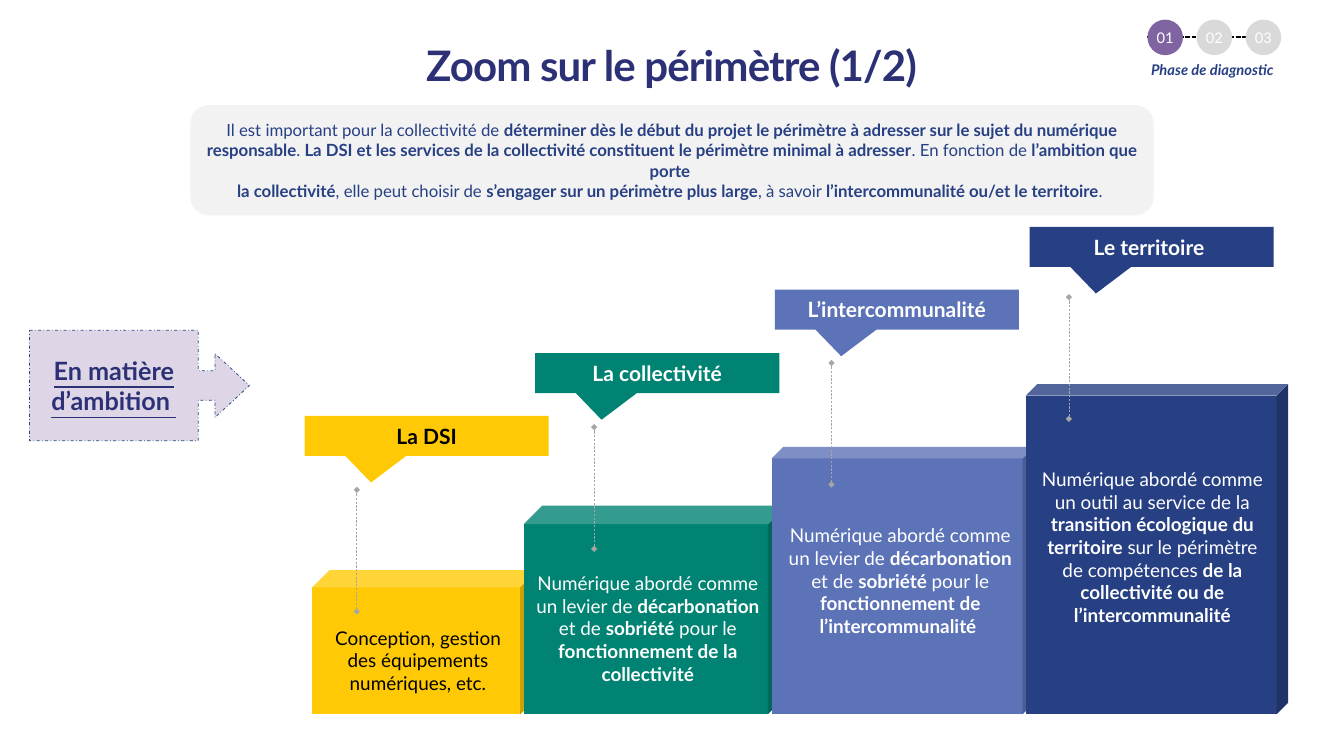
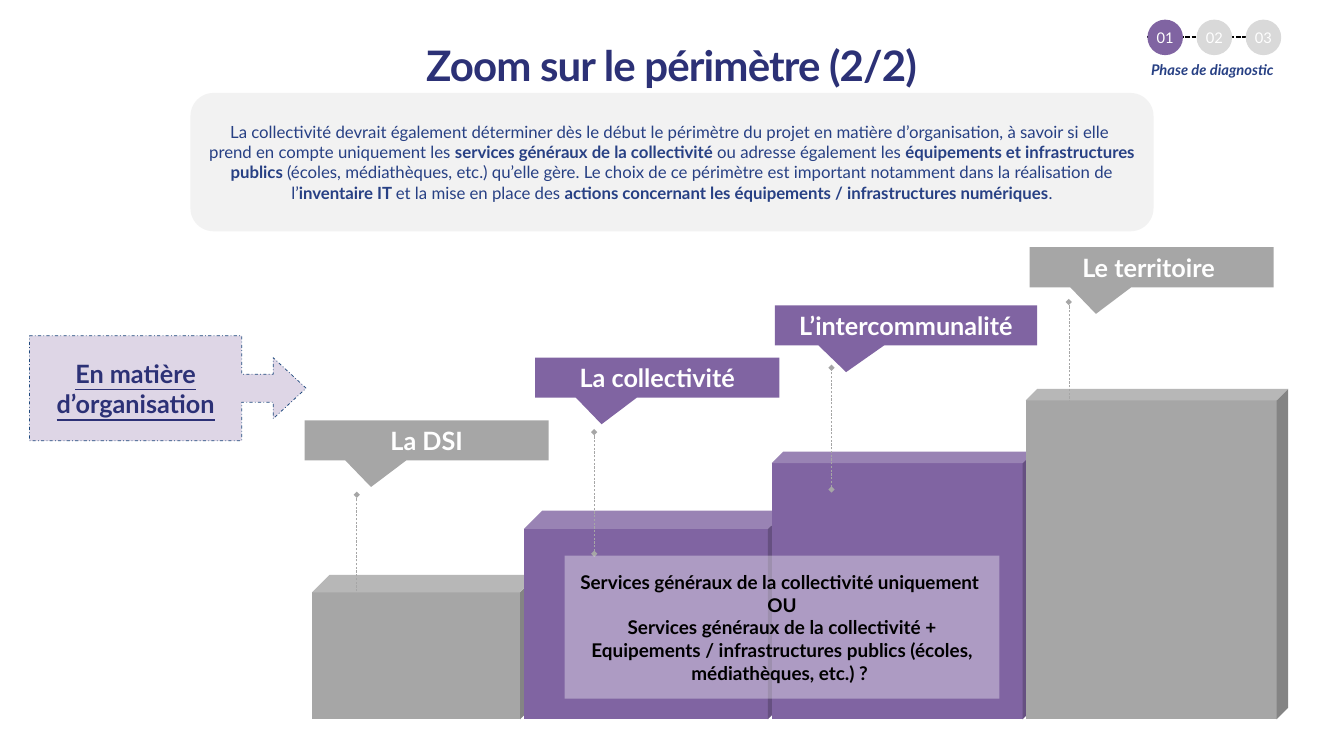
from dataclasses import dataclass

from lxml.etree import SubElement
from pptx import Presentation
from pptx.dml.color import RGBColor
from pptx.enum.dml import MSO_LINE
from pptx.enum.shapes import MSO_CONNECTOR, MSO_SHAPE
from pptx.enum.text import MSO_ANCHOR, PP_ALIGN
from pptx.oxml.ns import qn
from pptx.util import Inches, Pt

COLS, ROWS = 177.8, 100
CELL = Inches(0.1)
FONT = "Lato"
HUES = {
    "navy": "2C3176", "blue": "274084", "sky": "5D73B7", "green": "008373",
    "gold": "FFCA05", "plum": "8064A2", "grey": "A6A6A6", "pale": "F2F2F2",
    "mist": "D9D9D9", "edge": "1F497D", "white": "FFFFFF", "black": "000000",
}
PHASES = ("01", "02", "03")
BASE = 94.5


@dataclass
class Step:
    """One stair: its cube, its marker line and its label."""
    name: str
    left: float
    wide: float
    high: float
    bevel: float
    foot: float
    tag: float


STEPS = [
    Step("La DSI", 41.3, 29.8, 19.1, 0.12, 80.9, 40.3),
    Step("La collectivité", 69.3, 34.7, 27.6, 0.088, 72.6, 70.8),
    Step("L’intercommunalité", 102.1, 34.7, 35.4, 0.044, 64.1, 102.5),
    Step("Le territoire ", 135.7, 34.7, 43.7, 0.044, 55.4, 136.2),
]

INTRO_1 = (
    "Il est important pour la collectivité de **déterminer dès le début du projet "
    "le périmètre à adresser sur le sujet du numérique responsable**. **La DSI et "
    "les services de la collectivité constituent le périmètre minimal à adresser**. "
    "En fonction de **l’ambition que porte \nla collectivité**, elle peut choisir de "
    "**s’engager sur un périmètre plus large**, à savoir **l’intercommunalité ou/et "
    "le territoire**. "
)
INTRO_2 = (
    "La collectivité devrait également déterminer dès le début le périmètre du projet "
    "en matière d’organisation, à savoir si elle \nprend en compte uniquement les "
    "**services généraux de la collectivité **ou adresse également les **équipements "
    "et infrastructures publics **(écoles, médiathèques, etc.) qu’elle gère. Le choix "
    "de ce périmètre est important notamment dans la réalisation de l’**inventaire IT "
    "**et la mise en place des **actions concernant les équipements / infrastructures "
    "numériques**."
)
LEVER = ("Numérique abordé comme un levier de **décarbonation **et de **sobriété "
         "**pour le **fonctionnement de ")
ROLES = [
    ((41.6, 81.8, 27.4, 11.1), "black",
     "Conception, gestion des équipements numériques, etc."),
    ((69.7, 72.5, 32, 21.2), "white", LEVER + "la collectivité**"),
    ((103.1, 66.2, 32, 21.2), "white", LEVER + "l’intercommunalité **"),
    ((136.5, 56.7, 31.9, 31.3), "white",
     "Numérique abordé comme un outil au service de la **transition écologique du "
     "territoire** sur le périmètre de compétences **de la collectivité ou de "
     "l’intercommunalité**"),
]
CHOICE = [
    "**Services généraux de la collectivité uniquement **",
    "**OU**",
    "**Services généraux de la collectivité + Equipements / infrastructures publics "
    "(écoles, médiathèques, etc.) ? **",
]


def grid(*cells):
    """Turn grid cells into slide lengths."""
    return [round(cell * CELL) for cell in cells]


def tint(hue):
    """Give the named colour."""
    return RGBColor.from_string(HUES[hue])


def fill_in(para, text):
    """Add runs to a paragraph; ** switches bold and a newline breaks the line."""
    for part, chunk in enumerate(text.split("**")):
        for row, line in enumerate(chunk.split("\n")):
            if row:
                para.add_line_break()
            if line:
                run = para.add_run()
                run.text = line
                run.font.bold = part % 2 == 1


def write(shape, texts, size, hue, pad=(1, 0.5), anchor=MSO_ANCHOR.MIDDLE):
    """Set centred paragraphs in a shape and return them."""
    frame = shape.text_frame
    frame.word_wrap = True
    frame.vertical_anchor = anchor
    frame.margin_left, frame.margin_top = grid(*pad)
    frame.margin_right, frame.margin_bottom = grid(*pad)
    for spot, text in enumerate(texts):
        para = frame.add_paragraph() if spot else frame.paragraphs[0]
        para.alignment = PP_ALIGN.CENTER
        para.font.name, para.font.size = FONT, Pt(size)
        para.font.color.rgb = tint(hue)
        fill_in(para, text)
    return frame.paragraphs


def block(slide, kind, area, hue, adjust=(), alpha=None):
    """Add a flat preset shape without outline."""
    shape = slide.shapes.add_shape(kind, *grid(*area))
    shape.shadow.inherit = False
    shape.fill.solid()
    shape.fill.fore_color.rgb = tint(hue)
    shape.line.fill.background()
    for spot, value in enumerate(adjust):
        shape.adjustments[spot] = value
    if alpha:
        clear = shape._element.spPr.find(".//" + qn("a:srgbClr"))
        SubElement(clear, qn("a:alpha"), val=str(alpha * 1000))
    return shape


def note(slide, area, text, size, hue, **look):
    """Add a text box with one paragraph and return the paragraph."""
    return write(slide.shapes.add_textbox(*grid(*area)), [text], size, hue, **look)[0]


def rule(slide, start, end, hue, width, dash, tip=None):
    """Add a dashed line, with the same tip at both ends if one is named."""
    line = slide.shapes.add_connector(MSO_CONNECTOR.STRAIGHT, *grid(*start, *end))
    line.line.color.rgb = tint(hue)
    line.line.width = Pt(width)
    line.line.dash_style = dash
    if tip:
        for end_tag in ("a:headEnd", "a:tailEnd"):
            SubElement(line.line._get_or_add_ln(), qn(end_tag), type=tip)
    SubElement(line._element.spPr, qn("a:effectLst"))


def head(slide, text):
    """Place and format the title."""
    title = slide.shapes.title
    title.left, title.top, title.width, title.height = grid(10.9, 5.2, 155.9, 6.7)
    para = write(title, [f"**{text}**"], 40, "navy", (0, 0), MSO_ANCHOR.TOP)[0]
    para._p.pPr.find(qn("a:defRPr")).set("spc", "-80")


def phase(slide):
    """Draw the phase tracker in the top right corner."""
    left, top, size, gap = 151.8, 2.6, 4.7, 6.5
    note(slide, (148.5, 7.6, 24.2, 3.4), "**Phase de diagnostic **", 14, "blue",
         anchor=MSO_ANCHOR.TOP).font.italic = True
    rule(slide, (left, 4.9), (169.3, 4.9), "black", 1.5, MSO_LINE.SQUARE_DOT)
    for spot, label in enumerate(PHASES):
        dot = block(slide, MSO_SHAPE.OVAL, (left + spot * gap, top, size, size),
                    "mist" if spot else "plum")
        write(dot, [label], 14, "white", (0, 0))


def theme(slide, area, text):
    """Draw the dashed arrow that names the theme."""
    shape = block(slide, MSO_SHAPE.RIGHT_ARROW_CALLOUT, area, "plum",
                  (0.267, 0.29, 0.313, 0.767), 26)
    shape.line.color.rgb = tint("edge")
    shape.line.width = Pt(0.75)
    shape.line.dash_style = MSO_LINE.DASH_DOT
    write(shape, [f"**{text}**"], 24, "navy")[0].font.underline = True


def stairs(slide, hues, inks, tops, size, drop=0, wides=(32.3,) * 4):
    """Draw the cubes, then their marker lines and labels."""
    for step, hue in zip(STEPS, hues):
        block(slide, MSO_SHAPE.CUBE,
              (step.left, BASE - step.high + drop, step.wide, step.high),
              hue, [step.bevel])
    for spot, (step, hue, ink) in enumerate(zip(STEPS, hues, inks)):
        x, foot = 47.2 + 31.4 * spot, step.foot + drop
        rule(slide, (x, foot), (x, foot - 16.1), "grey", 0.5, MSO_LINE.DASH, "diamond")
        tag = block(slide, MSO_SHAPE.RECTANGULAR_CALLOUT,
                    (step.tag, tops[spot], wides[spot], 5.3), hue, (-0.228, 1.165))
        write(tag, [f"**{step.name}**"], size, ink, (1.3, 0.7))


def page(deck, title, intro, top, high):
    """Start a slide with its title, intro panel and phase tracker."""
    slide = deck.slides.add_slide(deck.slide_layouts[5])
    head(slide, title)
    panel = block(slide, MSO_SHAPE.FLOWCHART_ALTERNATE_PROCESS,
                  (25.2, top, 127.4, high), "pale")
    write(panel, [intro], 16, "blue")
    phase(slide)
    return slide


def main():
    """Build both slides and save the deck."""
    deck = Presentation()
    deck.slide_width, deck.slide_height = grid(COLS, ROWS)

    slide = page(deck, "Zoom sur le périmètre (1/2)", INTRO_1, 13.9, 14.6)
    stairs(slide, ("gold", "green", "sky", "blue"),
           ("black", "white", "white", "white"), (55, 46.7, 38.3, 30), 20)
    for area, ink, text in ROLES:
        note(slide, area, text, 18, ink)
    theme(slide, (3.9, 43.7, 29.1, 14.6), "En matière d’ambition ")

    slide = page(deck, "Zoom sur le périmètre (2/2)", INTRO_2, 12.3, 18.3)
    stairs(slide, ("grey", "plum", "plum", "grey"), ("white",) * 4,
           (55.6, 47.3, 40.4, 32.7), 24, 0.65, (32.3, 32.3, 34.7, 32.3))
    panel = block(slide, MSO_SHAPE.RECTANGLE, (74.7, 73.5, 57.5, 18.9), "white", alpha=36)
    write(panel, CHOICE, 18, "black")
    theme(slide, (3.9, 44.4, 36.6, 13.9), "En matière d’organisation")

    deck.save("out.pptx")


if __name__ == "__main__":
    main()
